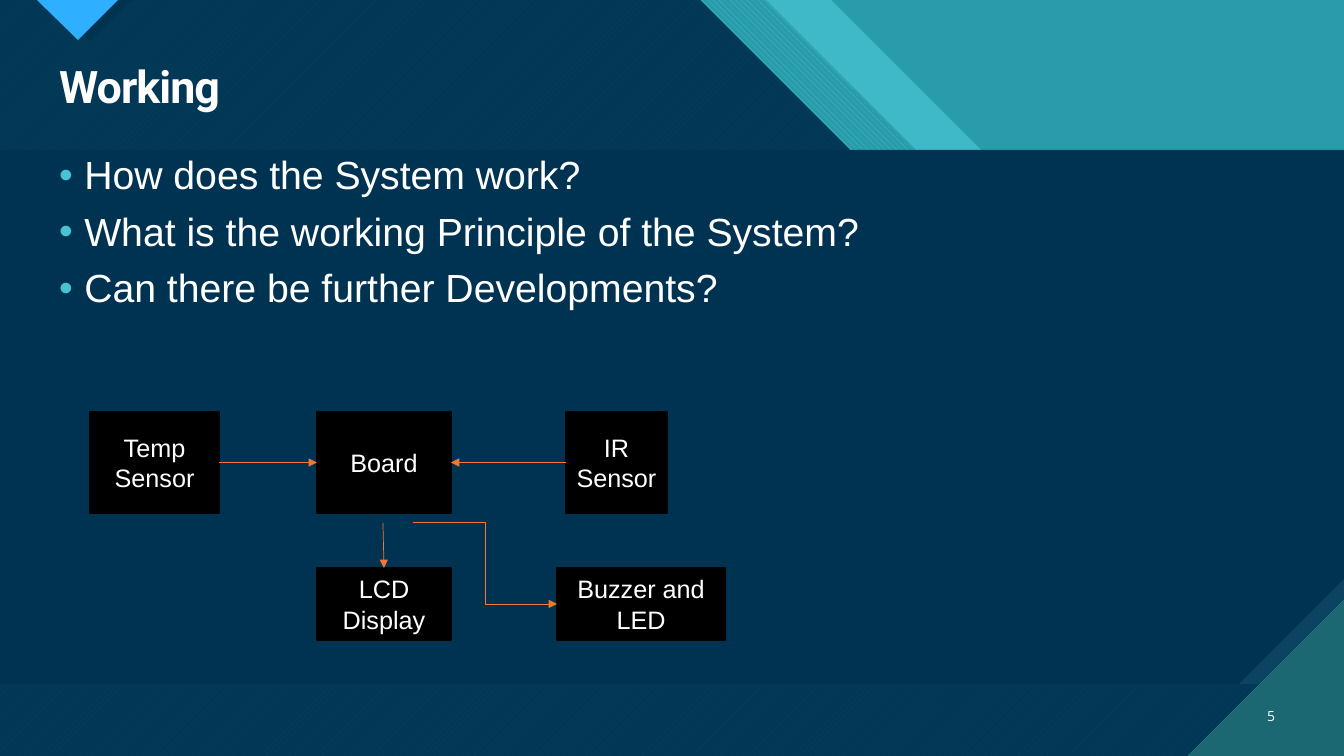
from lxml import etree
from pptx import Presentation
from pptx import util as u
from pptx.dml import color
from pptx.enum import dml, shapes, text
from pptx.oxml import ns

SCALE = 914400 / 100.8
WIDTH, HEIGHT = 1344, 756
WHITE, BLACK, NAVY, AQUA, TEAL, PINE = "FFFFFF", "000000", "003352", "47C3D3", "299CAB", "1B6872"
ORANGE, BLUE, SLATE = "F47735", "2FAFFF", "0C4360"
PATTERN = dml.MSO_PATTERN

TITLE = "Working"
QUESTIONS = [
    "How does the System work?",
    "What is the working Principle of the System?",
    "Can there be further Developments?",
]
PAGE_NUMBER = "5"

BOXES = {
    "temp": (["Temp", "Sensor"], (90, 412, 129, 101)),
    "board": (["Board"], (317, 412, 134, 101)),
    "infrared": (["IR", "Sensor"], (566, 412, 101, 101)),
    "display": (["LCD Display"], (317, 568, 134, 72)),
    "buzzer": (["Buzzer and", "LED"], (557, 568, 168, 72)),
}
TOP, LEFT, RIGHT = 0, 1, 3
STRAIGHT, ELBOW = shapes.MSO_CONNECTOR.STRAIGHT, shapes.MSO_CONNECTOR.ELBOW
ARROWS = [
    (STRAIGHT, ("temp", RIGHT), ("board", LEFT)),
    (STRAIGHT, ("infrared", LEFT), ("board", RIGHT)),
    (STRAIGHT, (383, 523), ("display", TOP)),
    (ELBOW, (413, 522), ("buzzer", LEFT)),
]


def band(left, top, shelf, right):
    return [(left, 0), (top, 0), (top + 300, 300), (shelf, 300),
            (WIDTH, right), (WIDTH, HEIGHT), (left, HEIGHT)]


DARK_BAND = band(0, 700, 1127, 516)
BACKDROP = [
    (band(0, 831, 1244, 400), dict(fill=AQUA, alpha=74)),
    (band(66, 766, 1193, 450), dict(fill=AQUA, back=TEAL, pattern=PATTERN.WIDE_DOWNWARD_DIAGONAL)),
    (DARK_BAND, dict(fill=AQUA, back=PINE, pattern=PATTERN.WIDE_UPWARD_DIAGONAL)),
    (DARK_BAND, dict(fill=NAVY, alpha=90)),
    ([(48, 0), (132, 0), (90, 41)], dict(fill=NAVY)),
    ([(37, 0), (118, 0), (78, 40)], dict(fill=BLUE, back=PINE, pattern=PATTERN.DARK_HORIZONTAL)),
    ([(0, 150), (WIDTH, 150), (WIDTH, 684), (0, 684)],
     dict(fill=SLATE, back=PINE, pattern=PATTERN.DARK_VERTICAL)),
    ([(0, 150), (WIDTH, 150), (WIDTH, 579), (1239, 684), (0, 684)], dict(fill=NAVY)),
    ([(1188, HEIGHT), (WIDTH, HEIGHT), (WIDTH, 600)],
     dict(fill=PINE, back=AQUA, pattern=PATTERN.DARK_HORIZONTAL)),
]


def px(value):
    return u.Emu(round(value * SCALE))


def rgb(value):
    return color.RGBColor.from_string(value)


def add_tag(parent, tag, **attributes):
    return etree.SubElement(parent, ns.qn(tag), attributes)


def place(shape, left, top, width, height):
    shape.left, shape.top, shape.width, shape.height = map(px, (left, top, width, height))


def paint(shape, fill, back=None, pattern=None, alpha=None):
    shape.shadow.inherit = False
    if pattern:
        shape.fill.patterned()
        shape.fill.pattern = pattern
        shape.fill.fore_color.rgb = rgb(fill)
        shape.fill.back_color.rgb = rgb(back)
    else:
        shape.fill.solid()
        shape.fill.fore_color.rgb = rgb(fill)
    if alpha:
        tint = shape.element.spPr.find(".//" + ns.qn("a:srgbClr"))
        add_tag(tint, "a:alpha", val=str(alpha * 1000))


def write(shape, lines, size, font="Arial", bold=False, align=text.PP_ALIGN.LEFT,
          anchor=text.MSO_ANCHOR.TOP, line_spacing=None, before=0, bullet=None, tracking=None):
    frame = shape.text_frame
    frame.word_wrap = True
    frame.auto_size = text.MSO_AUTO_SIZE.NONE
    frame.vertical_anchor = anchor
    for index, line in enumerate(lines):
        para = frame.add_paragraph() if index else frame.paragraphs[0]
        para.alignment = align
        para.space_before = u.Pt(before)
        if line_spacing:
            para.line_spacing = line_spacing
        span = para.add_run()
        span.text = line
        span.font.name, span.font.size, span.font.bold = font, u.Pt(size), bold
        span.font.color.rgb = rgb(WHITE)
        if tracking:
            span.font._element.set("spc", str(tracking))
        if bullet:
            layout = para._p.get_or_add_pPr()
            layout.set("marL", str(u.Inches(0.25)))
            layout.set("indent", str(-u.Inches(0.25)))
            add_tag(add_tag(layout, "a:buClr"), "a:srgbClr", val=bullet)
            add_tag(layout, "a:buFont", typeface="Arial")
            add_tag(layout, "a:buChar", char="•")


deck = Presentation()
deck.slide_width, deck.slide_height = px(WIDTH), px(HEIGHT)
page = deck.slides.add_slide(deck.slide_layouts[1])
page.background.fill.solid()
page.background.fill.fore_color.rgb = rgb(TEAL)

for points, look in BACKDROP:
    builder = page.shapes.build_freeform(*points[0], scale=SCALE)
    builder.add_line_segments(points[1:], close=True)
    outline = builder.convert_to_shape()
    paint(outline, **look)
    outline.line.fill.background()

title, body = page.shapes.title, page.placeholders[1]
for holder in (title, body):
    holder.element.getparent().append(holder.element)
place(title, 49, 60, 1236, 59)
write(title, [TITLE], 32, font="Roboto", bold=True, line_spacing=0.9, tracking=-70)
place(body, 49, 151, 1237, 480)
write(body, QUESTIONS, 28, line_spacing=0.9, before=10, bullet=AQUA)

number = page.shapes.add_textbox(px(1241), px(696), px(44), px(40))
write(number, [PAGE_NUMBER], 10, font="Open Sans", align=text.PP_ALIGN.RIGHT,
      anchor=text.MSO_ANCHOR.MIDDLE)

parts = {}
for name, (lines, area) in BOXES.items():
    box = page.shapes.add_shape(shapes.MSO_SHAPE.RECTANGLE, *map(px, area))
    paint(box, BLACK)
    box.line.color.rgb = rgb(BLACK)
    box.line.width = u.Pt(1)
    write(box, lines, 18, align=text.PP_ALIGN.CENTER, anchor=text.MSO_ANCHOR.MIDDLE)
    parts[name] = box

for kind, start, (target, site) in ARROWS:
    begin = start if start[0] not in parts else (0, 0)
    arrow = page.shapes.add_connector(kind, *map(px, begin + begin))
    if start[0] in parts:
        arrow.begin_connect(parts[start[0]], start[1])
    arrow.end_connect(parts[target], site)
    arrow.line.color.rgb = rgb(ORANGE)
    arrow.line.width = u.Pt(0.5)
    add_tag(arrow.line._get_or_add_ln(), "a:tailEnd", type="triangle")
    add_tag(arrow._element.spPr, "a:effectLst")

deck.save("out.pptx")
